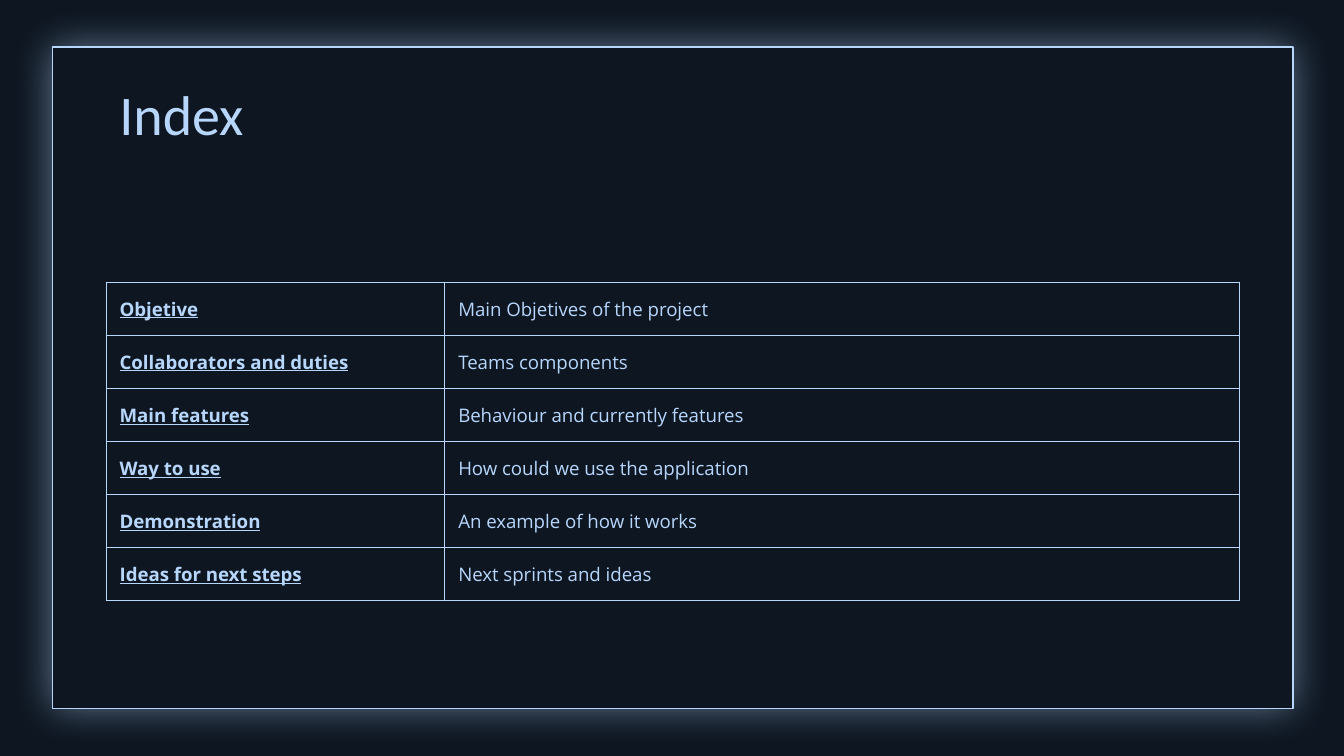
from lxml.etree import SubElement
from pptx import Presentation
from pptx.dml.color import RGBColor
from pptx.enum.shapes import MSO_SHAPE
from pptx.enum.text import MSO_ANCHOR as Anchor
from pptx.oxml.ns import qn
from pptx.util import Inches, Pt

NIGHT = RGBColor(0x0D, 0x16, 0x21)
ICE = RGBColor(0xB7, 0xD6, 0xFC)

LEFT, WIDTH = 0.79, 8.43
COLUMN_WIDTHS = (2.52, 5.91)
TABLE_TOP, TABLE_HEIGHT = 2.1, 2.37
TOPICS = [
    ("Objetive", "Main Objetives of the project"),
    ("Collaborators and duties", "Teams components"),
    ("Main features", "Behaviour and currently features"),
    ("Way to use", "How could we use the application"),
    ("Demonstration", "An example of how it works"),
    ("Ideas for next steps", "Next sprints and ideas"),
]


def add_color(parent, color, **effects):
    fill = SubElement(parent, qn("a:srgbClr"), val=str(color))
    for effect, value in effects.items():
        SubElement(fill, qn(f"a:{effect}"), val=str(value))


def style_font(font, name, size):
    font.name = name
    font.size = Pt(size)
    font.color.rgb = ICE


def add_glowing_frame(slide):
    frame = slide.shapes.add_shape(
        MSO_SHAPE.RECTANGLE, Inches(0.39), Inches(0.35), Inches(9.23), Inches(4.92)
    )
    frame.fill.solid()
    frame.fill.fore_color.rgb = NIGHT
    frame.line.color.rgb = ICE
    frame.line.width = Pt(0.75)
    frame.shadow.inherit = False
    effects = frame._element.spPr.find(qn("a:effectLst"))
    glow = SubElement(
        effects, qn("a:outerShdw"), blurRad=str(Pt(21.4)), dist="0",
        algn="bl", rotWithShape="0",
    )
    add_color(glow, ICE, alpha=50000)


def add_title(slide, text):
    title = slide.shapes.add_textbox(
        Inches(LEFT), Inches(0.49), Inches(WIDTH), Inches(0.63)
    ).text_frame
    title.word_wrap = True
    title.margin_left = title.margin_right = Inches(0.1)
    title.margin_top = title.margin_bottom = Inches(0.1)
    title.text = text
    style_font(title.paragraphs[0].font, "Calibri", 30)


def add_borders(cell):
    properties = cell._tc.get_or_add_tcPr()
    for side in ("lnL", "lnR", "lnT", "lnB"):
        border = SubElement(properties, qn(f"a:{side}"), w=str(Pt(0.75)))
        add_color(SubElement(border, qn("a:solidFill")), ICE)


def fill_cell(cell, text, is_topic):
    cell.text = text
    cell.vertical_anchor = Anchor.MIDDLE
    cell.margin_left = cell.margin_right = Inches(0.1)
    cell.margin_top = cell.margin_bottom = 0
    font = cell.text_frame.paragraphs[0].font
    style_font(font, "Open Sans", 10)
    font.bold = font.underline = is_topic
    add_borders(cell)
    cell.fill.background()


def add_index_table(slide):
    index = slide.shapes.add_table(
        len(TOPICS), len(COLUMN_WIDTHS),
        Inches(LEFT), Inches(TABLE_TOP), Inches(WIDTH), Inches(TABLE_HEIGHT),
    ).table
    index.first_row = index.horz_banding = False
    for column, width in zip(index.columns, COLUMN_WIDTHS):
        column.width = Inches(width)
    for row, texts in zip(index.rows, TOPICS):
        for position, (cell, text) in enumerate(zip(row.cells, texts)):
            fill_cell(cell, text, is_topic=position == 0)


def main():
    deck = Presentation()
    deck.slide_width = Inches(10)
    deck.slide_height = Inches(10 * 9 / 16)
    slide = deck.slides.add_slide(deck.slide_layouts[6])
    slide.background.fill.solid()
    slide.background.fill.fore_color.rgb = NIGHT
    add_glowing_frame(slide)
    add_title(slide, "Index")
    add_index_table(slide)
    deck.save("out.pptx")


if __name__ == "__main__":
    main()
